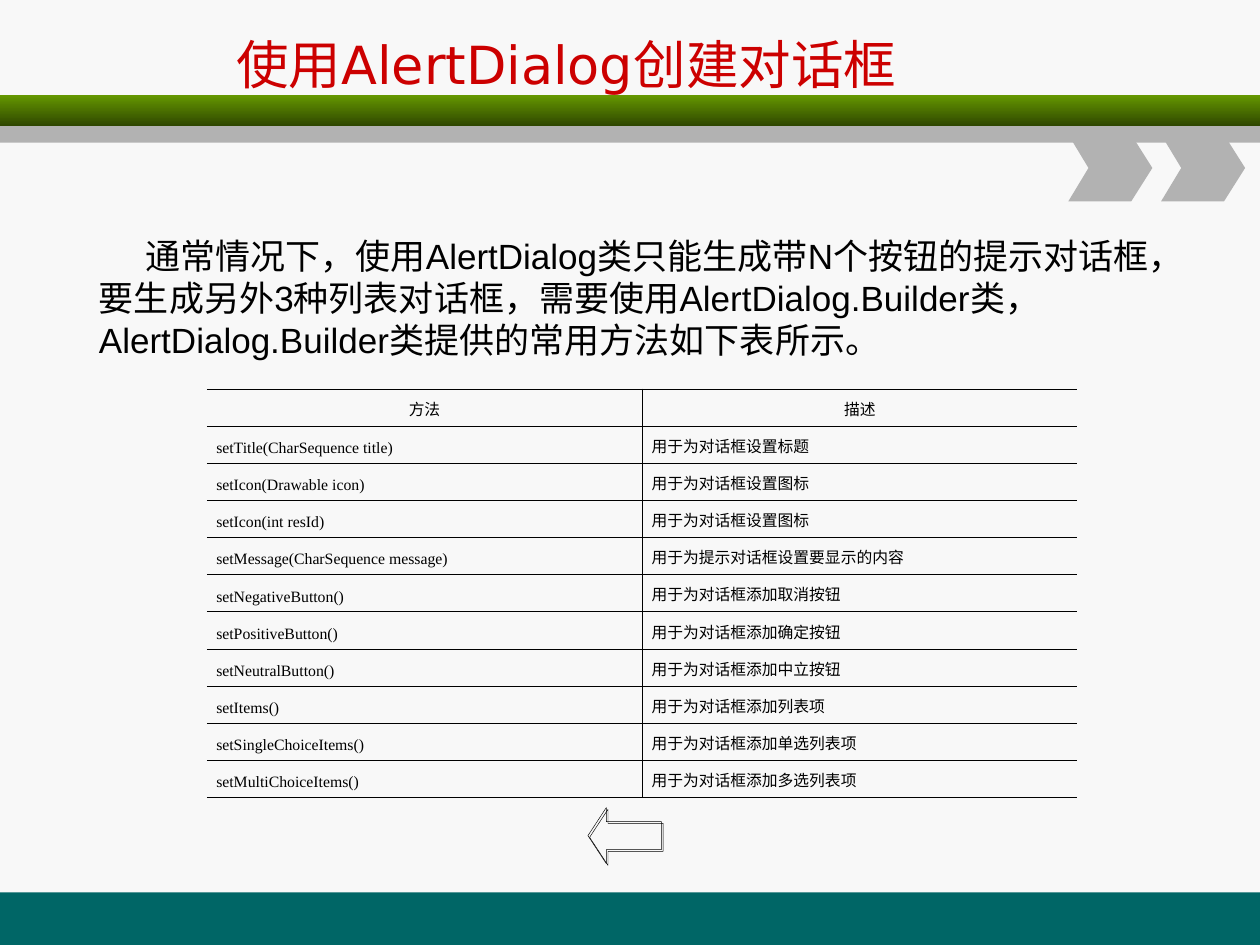
from typing import NamedTuple

from pptx import Presentation
from pptx.dml.color import RGBColor
from pptx.enum.shapes import MSO_SHAPE as Shape
from pptx.enum.text import MSO_ANCHOR as Anchor, PP_ALIGN as Align
from pptx.oxml.ns import qn
from pptx.util import Pt
from lxml.etree import SubElement, Element

COLORS = {
    "background": "F8F8F8",
    "footer": "006666",
    "green": "669900",
    "dark_green": "2F4700",
    "gray": "B2B2B2",
    "title": "CC0000",
    "black": "000000",
}


class Box(NamedTuple):
    left: float
    top: float
    width: float
    height: float


class Style(NamedTuple):
    font: str
    size: float
    color: str = "black"


class Method(NamedTuple):
    signature: str
    description: str


TITLE_STYLE = Style("DejaVu Sans", 30, "title")
BODY_STYLE = Style("Arial", 20)
CELL_STYLE = Style("Arial", 9)
CODE_STYLE = Style("Times New Roman", 9)

HEADER = Method("方法", "描述")
METHODS = [
    Method("setTitle(CharSequence title)", "用于为对话框设置标题"),
    Method("setIcon(Drawable icon)", "用于为对话框设置图标"),
    Method("setIcon(int resId)", "用于为对话框设置图标"),
    Method("setMessage(CharSequence message)", "用于为提示对话框设置要显示的内容"),
    Method("setNegativeButton()", "用于为对话框添加取消按钮"),
    Method("setPositiveButton()", "用于为对话框添加确定按钮"),
    Method("setNeutralButton()", "用于为对话框添加中立按钮"),
    Method("setItems()", "用于为对话框添加列表项"),
    Method("setSingleChoiceItems()", "用于为对话框添加单选列表项"),
    Method("setMultiChoiceItems()", "用于为对话框添加多选列表项"),
]


def rgb(name: str) -> RGBColor:
    return RGBColor.from_string(COLORS[name])


def points(box: Box) -> list:
    return [Pt(v) for v in box]


def paint(sp, color: str) -> None:
    sp.shadow.inherit = False
    sp.fill.solid()
    sp.fill.fore_color.rgb = rgb(color)
    sp.line.fill.background()


def add_bar(slide, box: Box, color: str):
    sp = slide.shapes.add_shape(Shape.RECTANGLE, *points(box))
    paint(sp, color)
    return sp


def add_chevron(slide, left: float, top: float) -> None:
    outline = [(36, 0), (48, 19), (36, 38), (0, 38), (11.5, 19)]
    builder = slide.shapes.build_freeform(Pt(left), Pt(top))
    builder.add_line_segments([(Pt(left + x), Pt(top + y)) for x, y in outline])
    paint(builder.convert_to_shape(), "gray")


def write(tf, text: str, style: Style):
    p = tf.paragraphs[0]
    p.text = text
    font = p.runs[0].font
    font.name, font.size = style.font, Pt(style.size)
    font.color.rgb = rgb(style.color)
    return p


def add_text(slide, box: Box, text: str, style: Style, anchor):
    tf = slide.shapes.add_textbox(*points(box)).text_frame
    tf.word_wrap = True
    tf.vertical_anchor = anchor
    return write(tf, text, style)


def add_back_arrow(slide, box: Box) -> None:
    sp = slide.shapes.add_shape(Shape.LEFT_ARROW, *points(box))
    sp.adjustments[0], sp.adjustments[1] = 0.5, 0.328
    sp.fill.background()
    sp.line.color.rgb = rgb("black")
    sp.line.width = Pt(0.25)
    sp.shadow.inherit = False
    effects = sp._element.spPr.find(qn("a:effectLst"))
    shadow = SubElement(effects, qn("a:outerShdw"), dist=str(Pt(1.4)),
                        dir="2700000", algn="ctr", rotWithShape="0")
    SubElement(shadow, qn("a:srgbClr"), val=COLORS["black"])


def set_borders(cell, visible: str) -> None:
    tc_pr = cell._tc.get_or_add_tcPr()
    for i, side in enumerate("LRTB"):
        ln = Element(qn(f"a:ln{side}"), w=str(Pt(0.45)))
        if side in visible:
            fill = SubElement(ln, qn("a:solidFill"))
            SubElement(fill, qn("a:srgbClr"), val=COLORS["black"])
        else:
            SubElement(ln, qn("a:noFill"))
        tc_pr.insert(i, ln)


def fill_cell(cell, text: str, style: Style, align, anchor, borders: str) -> None:
    cell.fill.background()
    cell.vertical_anchor = anchor
    cell.margin_left = cell.margin_right = Pt(5.4)
    cell.margin_top = cell.margin_bottom = Pt(3.6)
    p = write(cell.text_frame, text, style)
    p.alignment = align
    p.line_spacing = Pt(14)
    set_borders(cell, borders)


def add_method_table(slide, box: Box) -> None:
    rows = [HEADER, *METHODS]
    table = slide.shapes.add_table(len(rows), 2, *points(box)).table
    table.first_row = table.horz_banding = False
    for i, method in enumerate(rows):
        table.rows[i].height = Pt(box.height / len(rows))
        head = i == 0
        fill_cell(table.cell(i, 0), method.signature,
                  CELL_STYLE if head else CODE_STYLE,
                  Align.CENTER if head else Align.LEFT,
                  Anchor.MIDDLE if head else Anchor.TOP, "RTB")
        fill_cell(table.cell(i, 1), method.description, CELL_STYLE,
                  Align.CENTER if head else Align.JUSTIFY, Anchor.MIDDLE, "LTB")


def main() -> None:
    prs = Presentation()
    prs.slide_width, prs.slide_height = Pt(720), Pt(540)
    slide = prs.slides.add_slide(prs.slide_layouts[6])
    slide.background.fill.solid()
    slide.background.fill.fore_color.rgb = rgb("background")

    # Footer and header bands
    add_bar(slide, Box(0, 510, 720, 30), "footer")
    band = add_bar(slide, Box(0, 54, 720, 18), "green")
    band.fill.gradient()
    band.fill.gradient_angle = 270
    for stop, color in zip(band.fill.gradient_stops, ("green", "dark_green")):
        stop.color.rgb = rgb(color)
    add_bar(slide, Box(0, 72, 720, 9.5), "gray")

    # Chevrons under the header
    for i in range(2):
        add_chevron(slide, 610.5 + i * 53, 77)

    # Back arrow
    add_back_arrow(slide, Box(336, 461.5, 42, 32))

    # Title and introduction
    add_text(slide, Box(128, 12.25, 429, 48), "使用AlertDialog创建对话框",
             TITLE_STYLE, Anchor.MIDDLE)
    intro = add_text(
        slide, Box(49.5, 130.3, 628, 79),
        "通常情况下，使用AlertDialog类只能生成带N个按钮的提示对话框，"
        "要生成另外3种列表对话框，需要使用AlertDialog.Builder类，"
        "AlertDialog.Builder类提供的常用方法如下表所示。",
        BODY_STYLE, Anchor.TOP)
    intro._p.get_or_add_pPr().set("indent", str(Pt(26.5)))

    # Method table
    add_method_table(slide, Box(118.2, 222.2, 497.5, 188.65))

    prs.save("out.pptx")


if __name__ == "__main__":
    main()
